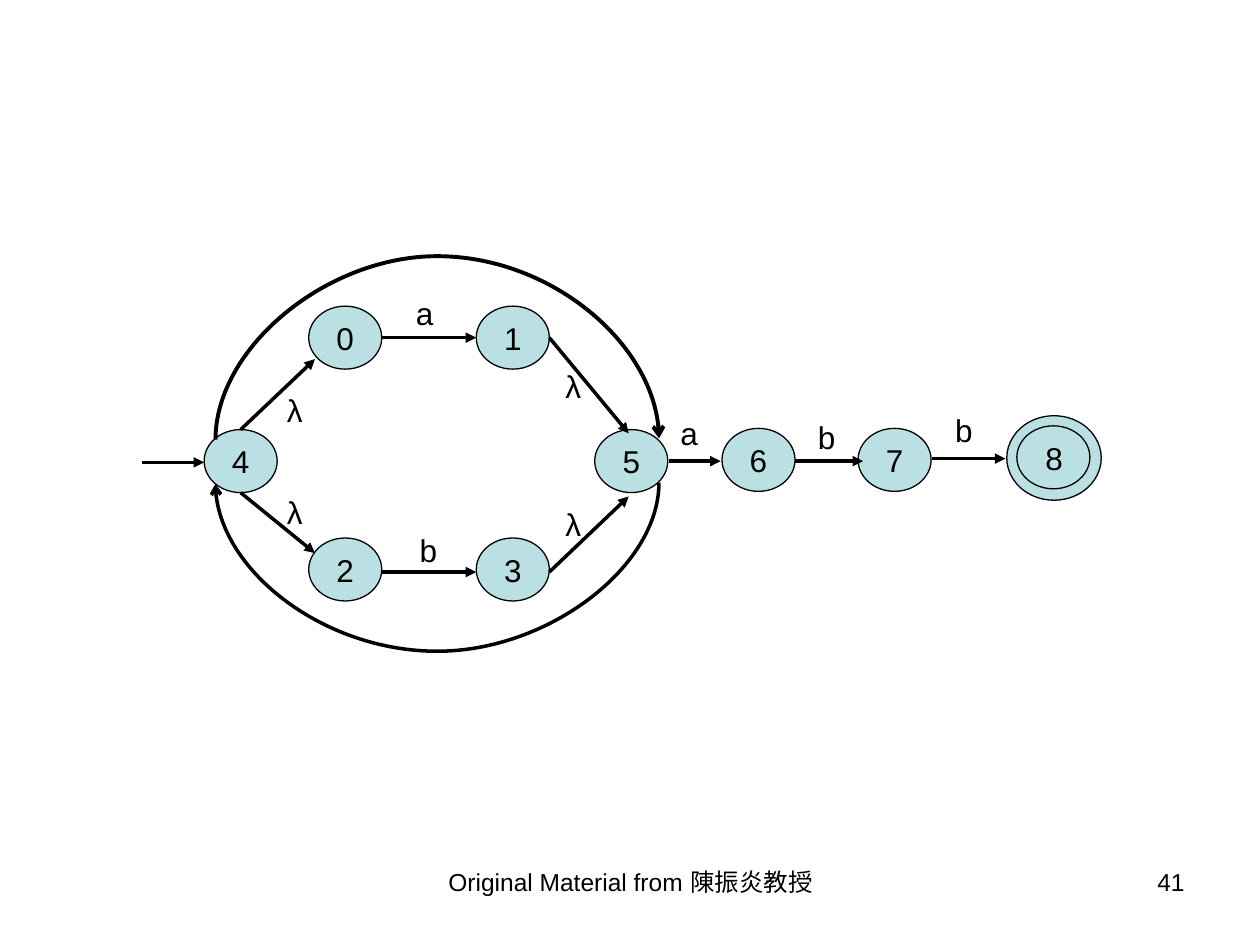
from lxml.etree import SubElement
from pptx import Presentation
from pptx.dml.color import RGBColor
from pptx.enum.shapes import MSO_CONNECTOR, MSO_SHAPE
from pptx.enum.text import MSO_ANCHOR, PP_ALIGN
from pptx.oxml.ns import qn
from pptx.util import Inches, Pt

BLACK = "000000"
STATE_FILL = "BBE0E3"
STATE_WIDTH, STATE_HEIGHT = 0.58, 0.5
STATES = {
    "4": (1.62, 3.41), "5": (4.72, 3.41),
    "0": (2.45, 2.43), "2": (2.45, 4.27),
    "1": (3.78, 2.43), "3": (3.78, 4.27),
    "6": (5.73, 3.4), "7": (6.81, 3.4),
}
ARROWS = [
    (1.13, 3.67, 1.62, 3.67),
    (1.91, 3.41, 2.5, 2.85), (1.91, 3.91, 2.5, 4.39),
    (3.03, 2.68, 3.78, 2.68), (3.03, 4.54, 3.78, 4.54),
    (4.36, 2.68, 4.99, 3.44), (4.36, 4.54, 4.99, 3.94),
    (5.31, 3.66, 5.72, 3.66), (6.31, 3.66, 6.85, 3.66),
    (7.4, 3.64, 7.98, 3.64),
]
LABELS = [
    ("λ", 2.09, 3.09), ("λ", 2.09, 3.9), ("λ", 4.3, 2.9), ("λ", 4.3, 3.99),
    ("a", 3.12, 2.32), ("b", 3.15, 4.2),
    ("a", 5.22, 3.27), ("b", 6.31, 3.3), ("b", 7.4, 3.25),
]


def color(value):
    return RGBColor.from_string(value)


def write(shape, text, size=18, align=PP_ALIGN.CENTER, anchor=MSO_ANCHOR.MIDDLE, wrap=False):
    frame = shape.text_frame
    frame.word_wrap = wrap
    frame.vertical_anchor = anchor
    para = frame.paragraphs[0]
    para.alignment = align
    span = para.add_run()
    span.text = text
    span.font.name = "Arial"
    span.font.size = Pt(size)
    span.font.color.rgb = color(BLACK)


def add_text(page, text, left, top, width, height, **style):
    box = page.shapes.add_textbox(Inches(left), Inches(top), Inches(width), Inches(height))
    write(box, text, **style)


def add_state(page, left, top, width=STATE_WIDTH, height=STATE_HEIGHT, text=None, fill=STATE_FILL):
    state = page.shapes.add_shape(
        MSO_SHAPE.OVAL, Inches(left), Inches(top), Inches(width), Inches(height))
    state.shadow.inherit = False
    if fill:
        state.fill.solid()
        state.fill.fore_color.rgb = color(fill)
    else:
        state.fill.background()
    state.line.color.rgb = color(BLACK)
    state.line.width = Pt(0.75)
    if text:
        write(state, text)


def add_arrow(page, x1, y1, x2, y2, kind=MSO_CONNECTOR.STRAIGHT, head="triangle", weight=2):
    arrow = page.shapes.add_connector(kind, Inches(x1), Inches(y1), Inches(x2), Inches(y2))
    arrow.line.color.rgb = color(BLACK)
    arrow.line.width = Pt(weight)
    SubElement(arrow.line._get_or_add_ln(), qn("a:tailEnd"), type=head)
    SubElement(arrow._element.spPr, qn("a:effectLst"))
    return arrow


def add_arc(page, x1, y1, x2, y2, peak, weight):
    # A quarter turn makes the connector leave and arrive vertically.
    center_x, center_y = (x1 + x2) / 2, (y1 + y2) / 2
    half_x, half_y = (x2 - x1) / 2, (y2 - y1) / 2
    arc = add_arrow(page, center_x - half_y, center_y + half_x,
                    center_x + half_y, center_y - half_x,
                    kind=MSO_CONNECTOR.CURVE, head="arrow", weight=weight)
    properties = arc._element.spPr
    properties.find(qn("a:xfrm")).set("rot", str(90 * 60000))
    bend = round((peak - y1) / (y2 - y1) * 100000)
    guides = properties.find(qn("a:prstGeom")).find(qn("a:avLst"))
    SubElement(guides, qn("a:gd"), name="adj1", fmla=f"val {bend}")


def add_automaton(page):
    add_state(page, 7.99, 3.3, 0.75, 0.67, text="8")
    add_state(page, 8.07, 3.38, fill=None)
    for name, (left, top) in STATES.items():
        add_state(page, left, top, text=name)
    for ends in ARROWS:
        add_arrow(page, *ends)
    add_arc(page, 1.71, 3.49, 5.23, 3.48, peak=2.01, weight=2.25)
    add_arc(page, 5.23, 3.83, 1.71, 3.84, peak=5.19, weight=2)
    for text, left, top in LABELS:
        add_text(page, text, left, top, 0.5, 0.33)


def add_footer(page, top, height):
    style = {"size": 14, "anchor": MSO_ANCHOR.TOP, "wrap": True}
    add_text(page, "Original Material from 陳振炎教授", 3.42, top, 3.17, height, **style)
    add_text(page, "41", 7.17, top, 2.33, height, align=PP_ALIGN.RIGHT, **style)


def main():
    deck = Presentation()
    deck.slide_width, deck.slide_height = Inches(10), Inches(7.5)
    page = deck.slides.add_slide(deck.slide_layouts[6])
    add_automaton(page)
    add_footer(page, 6.83, 0.52)
    deck.save("out.pptx")


if __name__ == "__main__":
    main()
